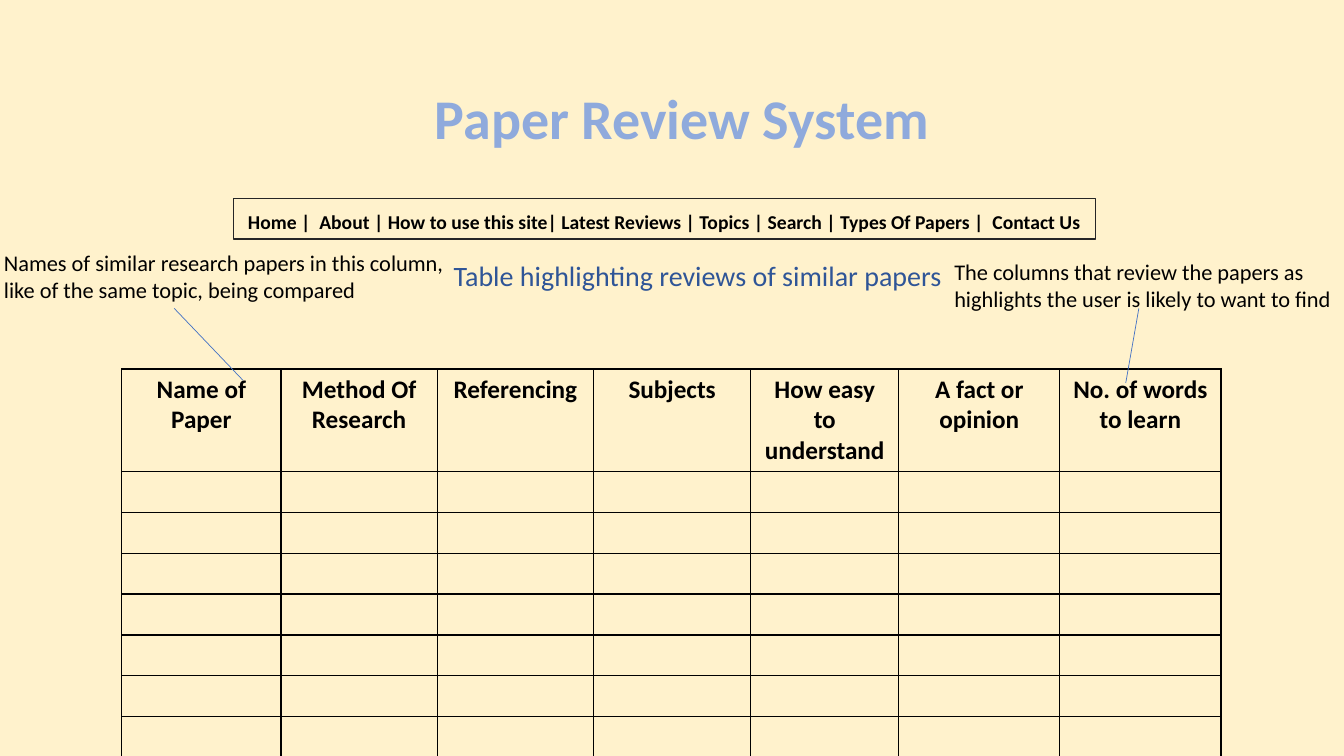
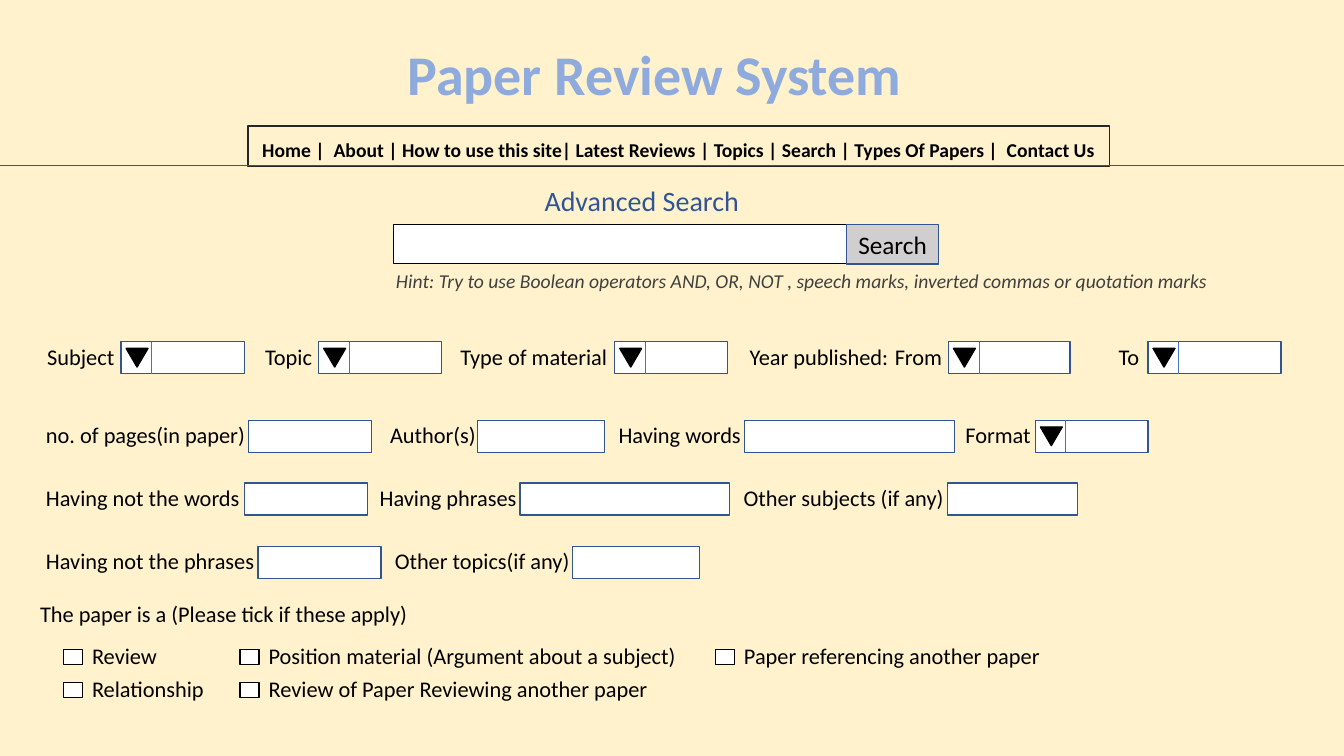
"""Builds two screen mock-ups of a paper review site: a review table and an advanced search form."""
from lxml import etree
from pptx import Presentation
from pptx.dml.color import RGBColor
from pptx.enum import shapes, text
from pptx.oxml import ns, parse_xml
from pptx.util import Cm, Pt

FONT = "Calibri"
CREAM, WHITE, BLACK, GREY = "FFF2CC", "FFFFFF", "000000", "D0CECE"
TITLE_BLUE, HEADING_BLUE, FIELD_BLUE, LINE_BLUE = "8FAADC", "2F5597", "325491", "4472C4"
NAV_EDGE, HINT_GREY = "262626", "404040"
RECT, TRIANGLE = shapes.MSO_SHAPE.RECTANGLE, shapes.MSO_SHAPE.FLOWCHART_MERGE
LEFT, CENTER = text.PP_ALIGN.LEFT, text.PP_ALIGN.CENTER
TOP, MIDDLE = text.MSO_ANCHOR.TOP, text.MSO_ANCHOR.MIDDLE

SITE = "Paper Review System"
MENU = ("Home |  About | How to use this site| Latest Reviews | Topics | Search | "
        "Types Of Papers |  Contact Us")

COLUMNS = [
    ("Name of Paper", 4.01), ("Method Of Research", 3.94), ("Referencing", 3.94),
    ("Subjects", 3.96), ("How easy to understand", 3.73), ("A fact or opinion", 4.06),
    ("No. of words to learn", 4.06),
]
EMPTY_ROWS, HEADER_HEIGHT, ROW_HEIGHT = 7, 2.57, 1.03
CALLOUTS = [
    ("Names of similar research papers in this column, like of the same topic, being compared",
     (-0.15, 6.15, 12.09, 1.63), (4.39, 7.77, 6.12, 9.58)),
    ("The columns that review the papers as highlights the user is likely to want to find",
     (23.8, 6.38, 10.06, 1.63), (28.7, 7.77, 28.37, 9.65)),
]

# Each field: label, label left, box left, box width (0 for none), drop-down
FIELD_ROWS = [
    (8.61, [("Subject", 0.94, 3.05, 3.12, True), ("Topic", 6.43, 8.03, 3.1, True),
            ("Type of material", 11.35, 15.49, 2.84, True),
            ("Year published:", 18.64, 22.66, 0, False),
            ("From", 22.3, 23.9, 3.07, True), ("To", 27.94, 28.93, 3.35, True)]),
    (10.59, [("no. of pages(in paper)", 0.91, 6.27, 3.1, False),
             ("Author(s)", 9.58, 12.04, 3.2, False),
             ("Having words", 15.34, 18.77, 5.28, False),
             ("Format", 24.08, 26.09, 2.84, True)]),
    (12.17, [("Having not the words", 0.91, 6.17, 3.1, False),
             ("Having phrases", 9.32, 13.11, 5.28, False),
             ("Other subjects (if any)", 18.49, 23.88, 3.28, False)]),
    (13.77, [("Having not the phrases", 0.91, 6.5, 3.1, False),
             ("Other topics(if any)", 9.7, 14.43, 3.2, False)]),
]
TICK_LEFTS, TICK_TOPS = (1.6, 6.05, 18.03), (16.36, 17.2)
TICKS = [
    ["Review", "Position material (Argument about a subject)", "Paper referencing another paper"],
    ["Relationship", "Review of Paper Reviewing another paper"],
]


def rgb(color):
    return RGBColor.from_string(color)


def cm(*lengths):
    return [Cm(length) for length in lengths]


def write(frame, words, size, color=BLACK, align=LEFT, anchor=TOP, bold=False, italic=False):
    frame.text = words
    frame.word_wrap = True
    frame.auto_size = text.MSO_AUTO_SIZE.NONE
    frame.vertical_anchor = anchor
    paragraph = frame.paragraphs[0]
    paragraph.alignment = align
    font = paragraph.font
    font.name, font.size, font.bold, font.italic = FONT, Pt(size), bold, italic
    font.color.rgb = rgb(color)


def add_text(slide, box, words, size=16, **style):
    write(slide.shapes.add_textbox(*cm(*box)).text_frame, words, size, **style)


def add_box(slide, box, fill=WHITE, edge=FIELD_BLUE, weight=1, kind=RECT):
    shape = slide.shapes.add_shape(kind, *cm(*box))
    shape.shadow.inherit = False
    shape.fill.solid()
    shape.fill.fore_color.rgb = rgb(fill)
    shape.line.color.rgb = rgb(edge)
    shape.line.width = Pt(weight)
    return shape


def add_line(slide, ends, color=LINE_BLUE, weight=0.5):
    line = slide.shapes.add_connector(shapes.MSO_CONNECTOR.STRAIGHT, *cm(*ends))
    line.line.color.rgb = rgb(color)
    line.line.width = Pt(weight)
    etree.SubElement(line._element.spPr, ns.qn("a:effectLst"))


def outline(tag, color, weight):
    return parse_xml(
        f'<a:{tag} {ns.nsdecls("a")} w="{Pt(weight)}"><a:solidFill>'
        f'<a:srgbClr val="{color}"/></a:solidFill></a:{tag}>')


def add_page(deck, title_box, menu_at, heading, heading_box):
    slide = deck.slides.add_slide(deck.slide_layouts[5])
    slide.background.fill.solid()
    slide.background.fill.fore_color.rgb = rgb(CREAM)
    title = slide.shapes.title
    title.left, title.top, title.width, title.height = cm(*title_box)
    write(title.text_frame, SITE, 40, TITLE_BLUE, CENTER, bold=True)
    run = title.text_frame.paragraphs[0].runs[0]
    run.font._element.insert(0, outline("ln", LINE_BLUE, 0.8))
    menu = add_box(slide, (*menu_at, 21.72, 1.02), CREAM, NAV_EDGE)
    write(menu.text_frame, MENU, 14, align=CENTER, anchor=MIDDLE, bold=True)
    menu.text_frame.margin_top, menu.text_frame.margin_bottom = cm(0.25, 0.1)
    add_text(slide, heading_box, heading, 20, color=HEADING_BLUE, align=CENTER)
    return slide


def add_review_table(slide):
    width = sum(column_width for _, column_width in COLUMNS)
    height = HEADER_HEIGHT + EMPTY_ROWS * ROW_HEIGHT
    table = slide.shapes.add_table(
        EMPTY_ROWS + 1, len(COLUMNS), *cm(3.07, 9.3, width, height)).table
    table.first_row = table.horz_banding = False
    for index, row in enumerate(table.rows):
        row.height = Cm(ROW_HEIGHT if index else HEADER_HEIGHT)
    for index, (name, column_width) in enumerate(COLUMNS):
        table.columns[index].width = Cm(column_width)
        header = table.cell(0, index)
        header.text = name
        paragraph = header.text_frame.paragraphs[0]
        paragraph.alignment = CENTER
        paragraph.font.name, paragraph.font.size, paragraph.font.bold = FONT, Pt(18), True
        paragraph.font.color.rgb = rgb(BLACK)
    for cell in table.iter_cells():
        cell.fill.background()
        properties = cell._tc.get_or_add_tcPr()
        for position, side in enumerate(("lnL", "lnR", "lnT", "lnB")):
            properties.insert(position, outline(side, BLACK, 1))


def add_field(slide, top, label, label_left, box_left, width, drop_down):
    add_text(slide, (label_left, top - 0.1, box_left - label_left + 0.25, 0.94), label)
    if width:
        add_box(slide, (box_left, top, width, 0.81))
    if drop_down:
        add_box(slide, (box_left + 0.13, top + 0.17, 0.55, 0.47), BLACK, BLACK, kind=TRIANGLE)
        split = box_left + 0.77
        add_line(slide, (split, top, split, top + 0.81))


def build_review_page(deck):
    slide = add_page(deck, (10.67, 1.98, 13.03, 1.96), (5.89, 5),
                     "Table highlighting reviews of similar papers", (11.02, 6.38, 13.13, 1.12))
    add_review_table(slide)
    for words, box, pointer in CALLOUTS:
        add_text(slide, box, words)
        add_line(slide, pointer)


def build_search_page(deck):
    slide = add_page(deck, (7.39, 0.86, 18.21, 1.96), (6.25, 3.18),
                     "Advanced Search", (10.97, 4.5, 10.41, 1.12))
    add_line(slide, (0, 4.17, 33.87, 4.17), HEADING_BLUE, 0.75)
    add_box(slide, (9.91, 5.66, 11.45, 0.99), edge=BLACK, weight=0.75)
    button = add_box(slide, (21.34, 5.66, 2.31, 0.99), GREY)
    write(button.text_frame, "Search", 18, align=CENTER, anchor=MIDDLE)
    add_text(slide, (9.73, 6.65, 21.03, 0.89),
             "Hint: Try to use Boolean operators AND, OR, NOT , speech marks, "
             "inverted commas or quotation marks", 14, color=HINT_GREY, italic=True)
    for top, fields in FIELD_ROWS:
        for field in fields:
            add_field(slide, top, *field)
    add_text(slide, (0.76, 14.99, 10, 0.94), "The paper is a (Please tick if these apply)")
    for top, labels in zip(TICK_TOPS, TICKS):
        for left, label in zip(TICK_LEFTS, labels):
            add_box(slide, (left, top, 0.48, 0.38), edge=BLACK)
            add_text(slide, (left + 0.47, top - 0.3, 11.4, 0.94), label)


def main():
    deck = Presentation()
    deck.slide_width, deck.slide_height = cm(33.87, 19.05)
    build_review_page(deck)
    build_search_page(deck)
    deck.save("out.pptx")


if __name__ == "__main__":
    main()
